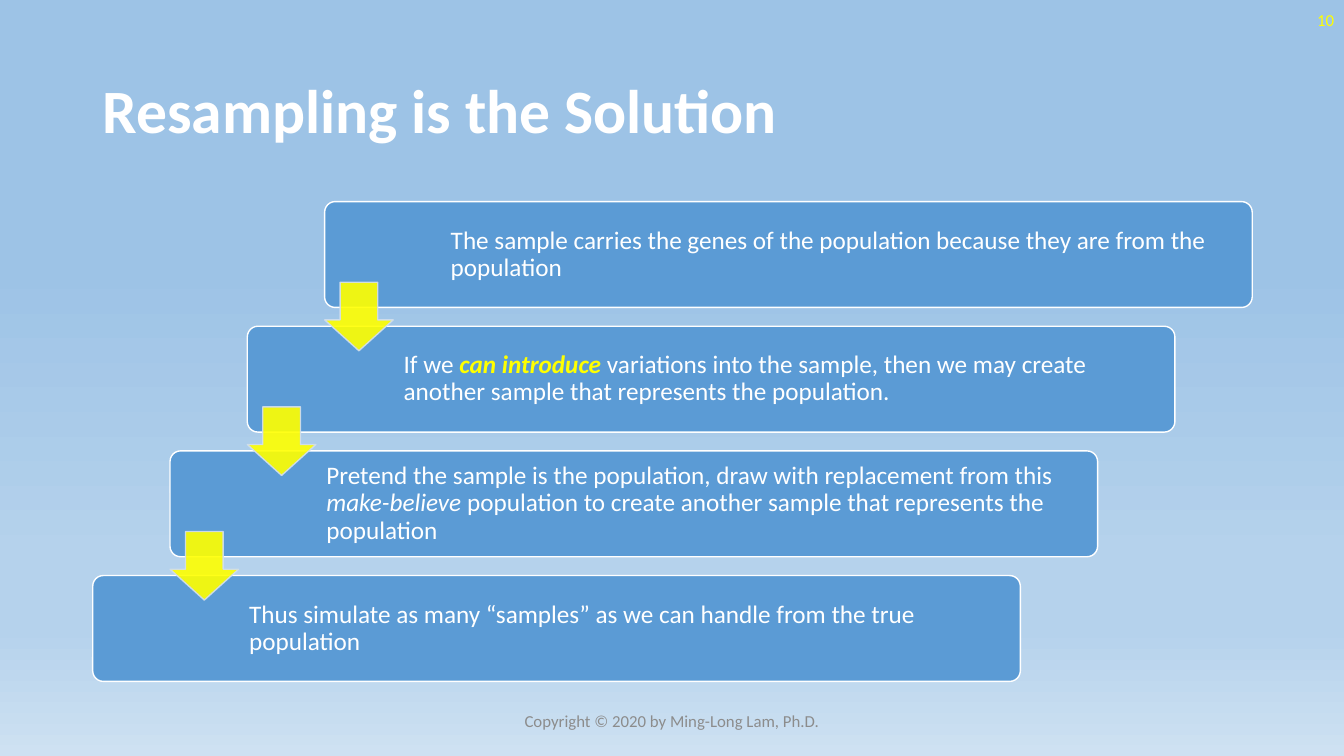
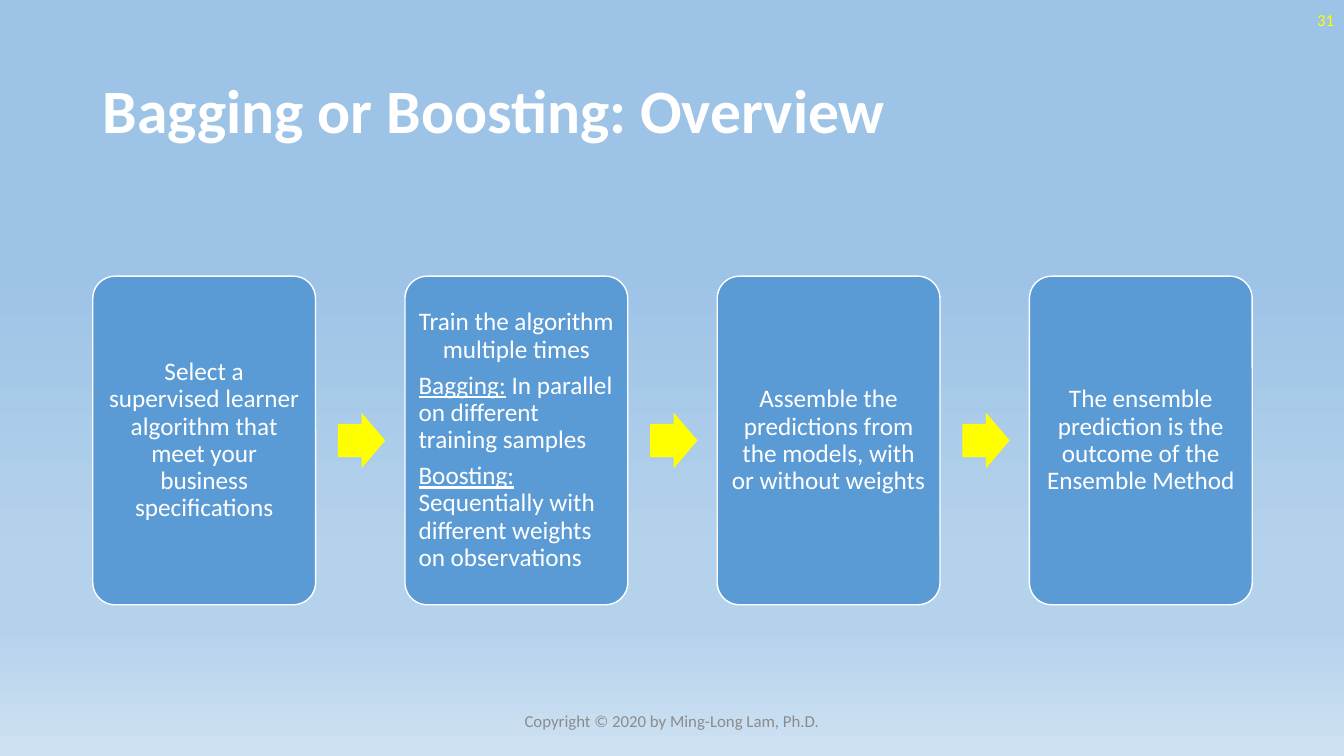
import pptx
import pptx.dml.color
import pptx.enum.shapes
import pptx.enum.text
import pptx.oxml.ns
import pptx.util
from lxml import etree

INCH = pptx.util.Inches
SHAPE = pptx.enum.shapes.MSO_SHAPE
ALIGN = pptx.enum.text.PP_ALIGN
QN = pptx.oxml.ns.qn

WIDTH, HEIGHT = 13.33, 7.5
MARGIN, CONTENT_WIDTH = 0.92, 11.5
FONT = "Calibri"
WHITE, YELLOW, BLUE = "FFFFFF", "FFFF00", "5B9BD5"
ARROW_EDGE, FOOTER_GRAY = "D2DEEF", "8C8C8C"
BACKGROUND_STOPS = [(35, "9DC3E6"), (74, "B5D2EC"), (83, "B5D2EC"), (100, "CEE1F2")]
COPYRIGHT = "Copyright © 2020 by Ming-Long Lam, Ph.D."

RESAMPLING = {
    "title": "Resampling is the Solution",
    "number": "10",
    "steps": [
        [("The sample carries the genes of the population because they are from the population", {})],
        [("If we ", {}),
         ("can introduce ", {"bold": True, "italic": True, "color": YELLOW}),
         ("variations into the sample, then we may create another sample that represents the population.", {})],
        [("Pretend the sample is the population, draw with replacement from this ", {}),
         ("make-believe", {"italic": True}),
         (" population to create another sample that represents the population", {})],
        [("Thus simulate as many “samples” as we can handle from the true population", {})],
    ],
}

OVERVIEW = {
    "title": "Bagging or Boosting: Overview",
    "number": "31",
    "stages": [
        [[("Select a supervised learner algorithm that meet your business specifications", {})]],
        [[("Train the algorithm multiple times", {})],
         [("Bagging:", {"underline": True}), (" In parallel on different training samples", {})],
         [("Boosting:", {"underline": True}), (" Sequentially with different weights on observations", {})]],
        [[("Assemble the predictions from the models, with or without weights", {})]],
        [[("The ensemble prediction is the outcome of the Ensemble Method", {})]],
    ],
}


def rgb(value):
    return pptx.dml.color.RGBColor.from_string(value)


def write(shape, paragraphs, size=18, color=WHITE, bold=False, aligns=(ALIGN.LEFT,),
          spacing=None, after=0, insets=(0.1, 0.05, 0.1, 0.05)):
    frame = shape.text_frame
    frame.word_wrap = True
    frame.vertical_anchor = pptx.enum.text.MSO_ANCHOR.MIDDLE
    frame.margin_left, frame.margin_top, frame.margin_right, frame.margin_bottom = map(INCH, insets)
    for index, runs in enumerate(paragraphs):
        paragraph = frame.add_paragraph() if index else frame.paragraphs[0]
        paragraph.alignment = aligns[min(index, len(aligns) - 1)]
        paragraph.line_spacing = spacing
        paragraph.space_after = pptx.util.Pt(after)
        for text, style in runs:
            run = paragraph.add_run()
            run.text = text
            run.font.name = FONT
            run.font.size = pptx.util.Pt(size)
            run.font.bold = style.get("bold", bold)
            run.font.italic = style.get("italic", False)
            run.font.underline = style.get("underline", False)
            run.font.color.rgb = rgb(style.get("color", color))


def add_label(slide, place, text, **style):
    write(slide.shapes.add_textbox(*map(INCH, place)), [[(text, {})]], **style)


def add_block(slide, preset, place, adjustments, fill, line=None, opacity=100):
    shape = slide.shapes.add_shape(preset, *map(INCH, place))
    shape.shadow.inherit = False
    for index, value in enumerate(adjustments):
        shape.adjustments[index] = value
    shape.fill.solid()
    shape.fill.fore_color.rgb = rgb(fill)
    if line:
        shape.line.color.rgb = rgb(line)
        shape.line.width = pptx.util.Pt(1)
    else:
        shape.line.fill.background()
    if opacity < 100:
        for color in shape.element.spPr.iter(QN("a:srgbClr")):
            etree.SubElement(color, QN("a:alpha"), val=str(opacity * 1000))
    return shape


def add_card(slide, place, paragraphs, **style):
    card = add_block(slide, SHAPE.ROUNDED_RECTANGLE, place, [0.1], BLUE, WHITE)
    write(card, paragraphs, spacing=0.9, after=6.3, **style)


def set_background(master):
    fill = master.background.fill
    fill.gradient()
    fill.gradient_angle = 270
    stops = next(master.element.iter(QN("a:gsLst")))
    for stop in list(stops):
        stops.remove(stop)
    for position, color in BACKGROUND_STOPS:
        stop = etree.SubElement(stops, QN("a:gs"), pos=str(position * 1000))
        etree.SubElement(stop, QN("a:srgbClr"), val=color)


def add_slide(presentation, content):
    slide = presentation.slides.add_slide(presentation.slide_layouts[6])
    add_label(slide, (MARGIN, 0.4, CONTENT_WIDTH, 1.45), content["title"],
              size=44, bold=True, spacing=0.9)
    add_label(slide, (WIDTH - 3, 0, 3, 0.4), content["number"],
              size=12, color=YELLOW, aligns=(ALIGN.RIGHT,))
    add_label(slide, ((WIDTH - 4.5) / 2, 6.95, 4.5, 0.4), COPYRIGHT,
              size=12, color=FOOTER_GRAY, aligns=(ALIGN.CENTER,))
    return slide


def build_resampling(presentation):
    slide = add_slide(presentation, RESAMPLING)
    steps = RESAMPLING["steps"]
    top, bottom, card_height, arrow_size = 2, 6.76, 1.05, 0.68
    card_width = CONTENT_WIDTH * 0.8
    gaps = len(steps) - 1
    shift = (CONTENT_WIDTH - card_width) / gaps
    pitch = (bottom - top - card_height) / gaps
    corners = [(MARGIN + shift * (gaps - index), top + pitch * index) for index in range(len(steps))]
    for index, ((left, y), runs) in enumerate(zip(corners, steps)):
        indent = 1.52 if index else 1.22
        add_card(slide, (left, y, card_width, card_height), [runs],
                 insets=(indent, 0.07, 0.07, 0.07))
    for left, y in corners[:-1]:
        add_block(slide, SHAPE.DOWN_ARROW, (left, y + 0.8, arrow_size, arrow_size),
                  [0.55, 0.45], YELLOW, ARROW_EDGE, opacity=90)


def build_overview(presentation):
    slide = add_slide(presentation, OVERVIEW)
    stages = OVERVIEW["stages"]
    top, card_width, card_height = 2.74, 2.21, 3.26
    arrow_width, arrow_height = 0.47, 0.55
    pitch = (CONTENT_WIDTH - card_width) / (len(stages) - 1)
    arrow_top = top + (card_height - arrow_height) / 2
    for index, paragraphs in enumerate(stages):
        left = MARGIN + pitch * index
        add_card(slide, (left, top, card_width, card_height), paragraphs,
                 aligns=(ALIGN.CENTER, ALIGN.LEFT), insets=(0.07,) * 4)
        if index < len(stages) - 1:
            add_block(slide, SHAPE.RIGHT_ARROW,
                      (left + card_width * 1.1, arrow_top, arrow_width, arrow_height),
                      [0.6, 0.5], YELLOW)


def main():
    presentation = pptx.Presentation()
    presentation.slide_width, presentation.slide_height = INCH(WIDTH), INCH(HEIGHT)
    set_background(presentation.slide_master)
    build_resampling(presentation)
    build_overview(presentation)
    presentation.save("out.pptx")


if __name__ == "__main__":
    main()
